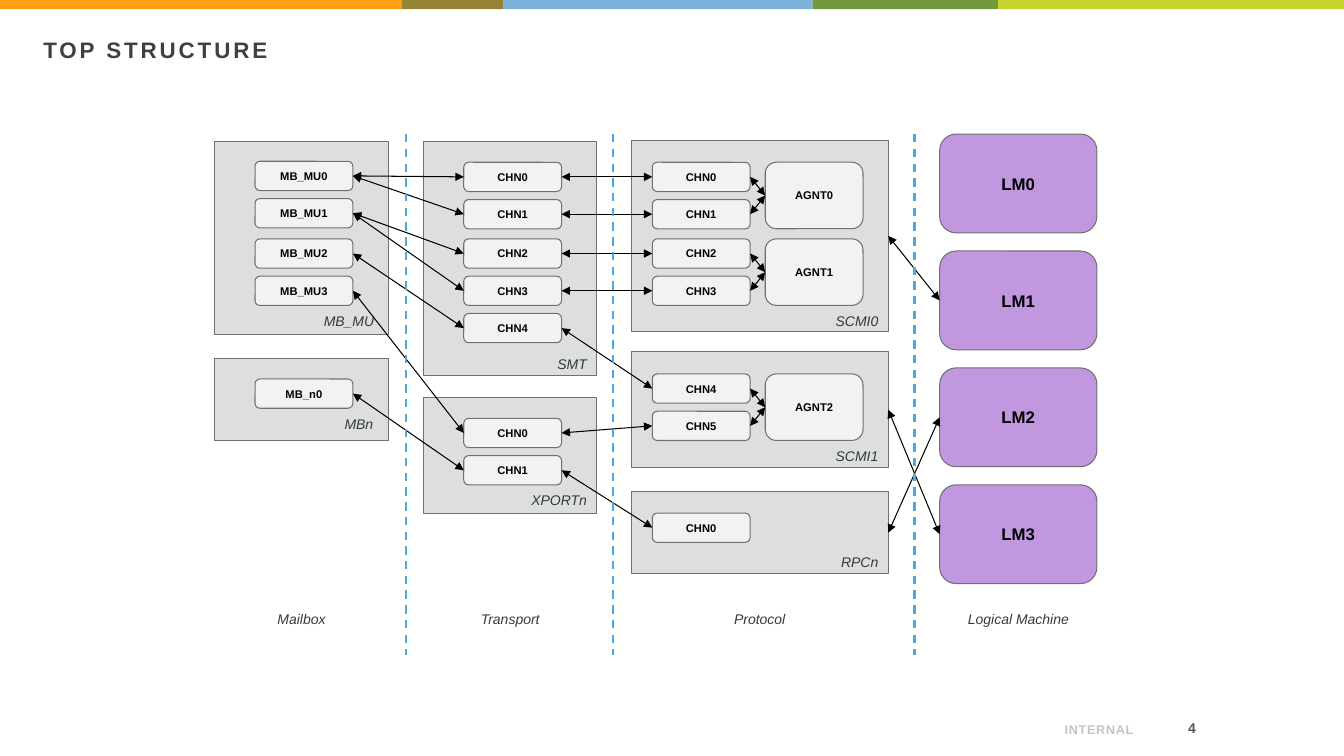
from pptx import Presentation
from pptx.dml.color import RGBColor
from pptx.enum.dml import MSO_LINE
from pptx.enum.shapes import MSO_CONNECTOR, MSO_SHAPE
from pptx.enum.text import MSO_ANCHOR, MSO_AUTO_SIZE, PP_ALIGN
from pptx.oxml.ns import qn
from pptx.util import Pt
from lxml.etree import SubElement

PX = 9144
hex_color = RGBColor.from_string


def write(shape, text, size, color, align=PP_ALIGN.CENTER, anchor=MSO_ANCHOR.TOP,
          bold=False, italic=False, spacing=0):
    frame = shape.text_frame
    frame.word_wrap = True
    frame.auto_size = MSO_AUTO_SIZE.NONE
    frame.vertical_anchor = anchor
    para = frame.paragraphs[0]
    para.alignment = align
    span = para.add_run()
    span.text = text
    span.font.name = "Arial"
    span.font.size = Pt(size)
    span.font.bold = bold
    span.font.italic = italic
    span.font.color.rgb = hex_color(color)
    if spacing:
        span.font._element.set("spc", str(spacing))


def block(kind, left, top, width, height, fill, outline=None):
    shape = page.shapes.add_shape(kind, left * PX, top * PX, width * PX, height * PX)
    shape.shadow.inherit = False
    shape.fill.solid()
    shape.fill.fore_color.rgb = hex_color(fill)
    if outline:
        shape.line.color.rgb = hex_color(outline)
        shape.line.width = Pt(0.75)
    else:
        shape.line.fill.background()
    return shape


deck = Presentation()
deck.slide_width = 1333 * PX
deck.slide_height = 750 * PX
page = deck.slides.add_slide(deck.slide_layouts[5])

title = page.shapes.title
title.left, title.top, title.width, title.height = 33 * PX, 31 * PX, 1275 * PX, 72 * PX
write(title, "TOP STRUCTURE", 16, "404040", PP_ALIGN.LEFT, bold=True, spacing=210)

stripe_left = 0
for width, color in [(398, "FFA015"), (101, "958436"), (307, "7DB2DB"),
                     (184, "73983E"), (343, "C7D22D")]:
    block(MSO_SHAPE.RECTANGLE, stripe_left, 0, width, 9, color)
    stripe_left += width

marking = page.shapes.add_textbox(851 * PX, 702 * PX, 283 * PX, 34 * PX)
write(marking, "INTERNAL", 9, "C4C4C4", PP_ALIGN.RIGHT, MSO_ANCHOR.BOTTOM, bold=True, spacing=50)
number = page.shapes.add_textbox(1128 * PX, 707 * PX, 65 * PX, 30 * PX)
number.text_frame.margin_left = number.text_frame.margin_right = 7 * PX
number.text_frame.margin_top = number.text_frame.margin_bottom = 4 * PX
write(number, "4", 10, "595959", PP_ALIGN.RIGHT, MSO_ANCHOR.MIDDLE, bold=True, spacing=300)

panels = [
    ("MB_MU", 213, 140, 172, 192, 381, 305, 253,
     [("MB_MU0", 160), ("MB_MU1", 197), ("MB_MU2", 237), ("MB_MU3", 274)]),
    ("MBn", 213, 356, 172, 81, 380, 407, 253, [("MB_n0", 376)]),
    ("SMT", 420, 140, 172, 233, 592, 348, 460,
     [("CHN0", 161), ("CHN1", 198), ("CHN2", 237), ("CHN3", 274), ("CHN4", 311)]),
    ("XPORTn", 420, 394, 172, 115, 592, 483, 460, [("CHN0", 415), ("CHN1", 452)]),
    ("SCMI0", 626, 139, 255, 190, 881, 305, 647,
     [("CHN0", 161), ("CHN1", 198), ("CHN2", 237), ("CHN3", 274)]),
    ("SCMI1", 626, 349, 255, 115, 881, 439, 647, [("CHN4", 371), ("CHN5", 408)]),
    ("RPCn", 626, 488, 255, 81, 881, 544, 647, [("CHN0", 509)]),
]
blocks = {}
nodes = []
for name, left, top, width, height, label_right, label_top, node_left, channels in panels:
    blocks[name] = block(MSO_SHAPE.RECTANGLE, left, top, width, height, "DDDEDE", "707070")
    label = page.shapes.add_textbox((label_right - 116) * PX, label_top * PX, 116 * PX, 24 * PX)
    write(label, name, 10, "353A3E", PP_ALIGN.RIGHT, italic=True)
    for channel, node_top in channels:
        nodes.append((f"{name} {channel}", channel, node_left, node_top, 97, 29, "F2F2F2", 8))

for index, agent_top in enumerate([161, 237, 371]):
    agent = f"AGNT{index}"
    nodes.append((agent, agent, 759, agent_top, 97, 66, "F2F2F2", 8))
for index in range(4):
    machine = f"LM{index}"
    nodes.append((machine, machine, 932, 133 + 116 * index, 156, 98, "C198E0", 12))

for key, text, left, top, width, height, fill, size in nodes:
    blocks[key] = block(MSO_SHAPE.ROUNDED_RECTANGLE, left, top, width, height, fill, "707070")
    write(blocks[key], text, size, "000000", anchor=MSO_ANCHOR.MIDDLE, bold=True)

links = [
    ("LM1", "SCMI0"), ("LM3", "SCMI1"), ("LM2", "RPCn"),
    ("AGNT0", "SCMI0 CHN0"), ("AGNT0", "SCMI0 CHN1"),
    ("AGNT1", "SCMI0 CHN2"), ("AGNT1", "SCMI0 CHN3"),
    ("AGNT2", "SCMI1 CHN4"), ("AGNT2", "SCMI1 CHN5"),
    ("SCMI0 CHN0", "SMT CHN0"), ("SCMI0 CHN1", "SMT CHN1"),
    ("SCMI0 CHN2", "SMT CHN2"), ("SCMI0 CHN3", "SMT CHN3"),
    ("SCMI1 CHN4", "SMT CHN4"), ("SCMI1 CHN5", "XPORTn CHN0"),
    ("RPCn CHN0", "XPORTn CHN1"),
    ("SMT CHN0", "MB_MU MB_MU0"), ("SMT CHN1", "MB_MU MB_MU0"),
    ("SMT CHN2", "MB_MU MB_MU1"), ("SMT CHN3", "MB_MU MB_MU1"),
    ("SMT CHN4", "MB_MU MB_MU2"), ("XPORTn CHN0", "MB_MU MB_MU3"),
    ("XPORTn CHN1", "MBn MB_n0"),
]
connectors = []
for right, left in links:
    arrow = page.shapes.add_connector(MSO_CONNECTOR.STRAIGHT, 0, 0, 0, 0)
    arrow.begin_connect(blocks[right], 1)
    arrow.end_connect(blocks[left], 3)
    arrow.line.color.rgb = hex_color("000000")
    arrow.line.width = Pt(0.75)
    for end in ("a:headEnd", "a:tailEnd"):
        SubElement(arrow.line._get_or_add_ln(), qn(end), type="triangle")
    connectors.append(arrow)

for x in (403, 608, 907):
    divider = page.shapes.add_connector(MSO_CONNECTOR.STRAIGHT, x * PX, 133 * PX, x * PX, 650 * PX)
    divider.line.color.rgb = hex_color("4AA8E2")
    divider.line.width = Pt(1.5)
    divider.line.dash_style = MSO_LINE.DASH
    connectors.append(divider)

for connector in connectors:
    SubElement(connector._element.spPr, qn("a:effectLst"))

for text, left, width in [("Mailbox", 213, 172), ("Transport", 420, 172),
                          ("Protocol", 626, 255), ("Logical Machine", 932, 156)]:
    caption = page.shapes.add_textbox(left * PX, 601 * PX, width * PX, 24 * PX)
    write(caption, text, 10, "353A3E", italic=True)

deck.save("out.pptx")
